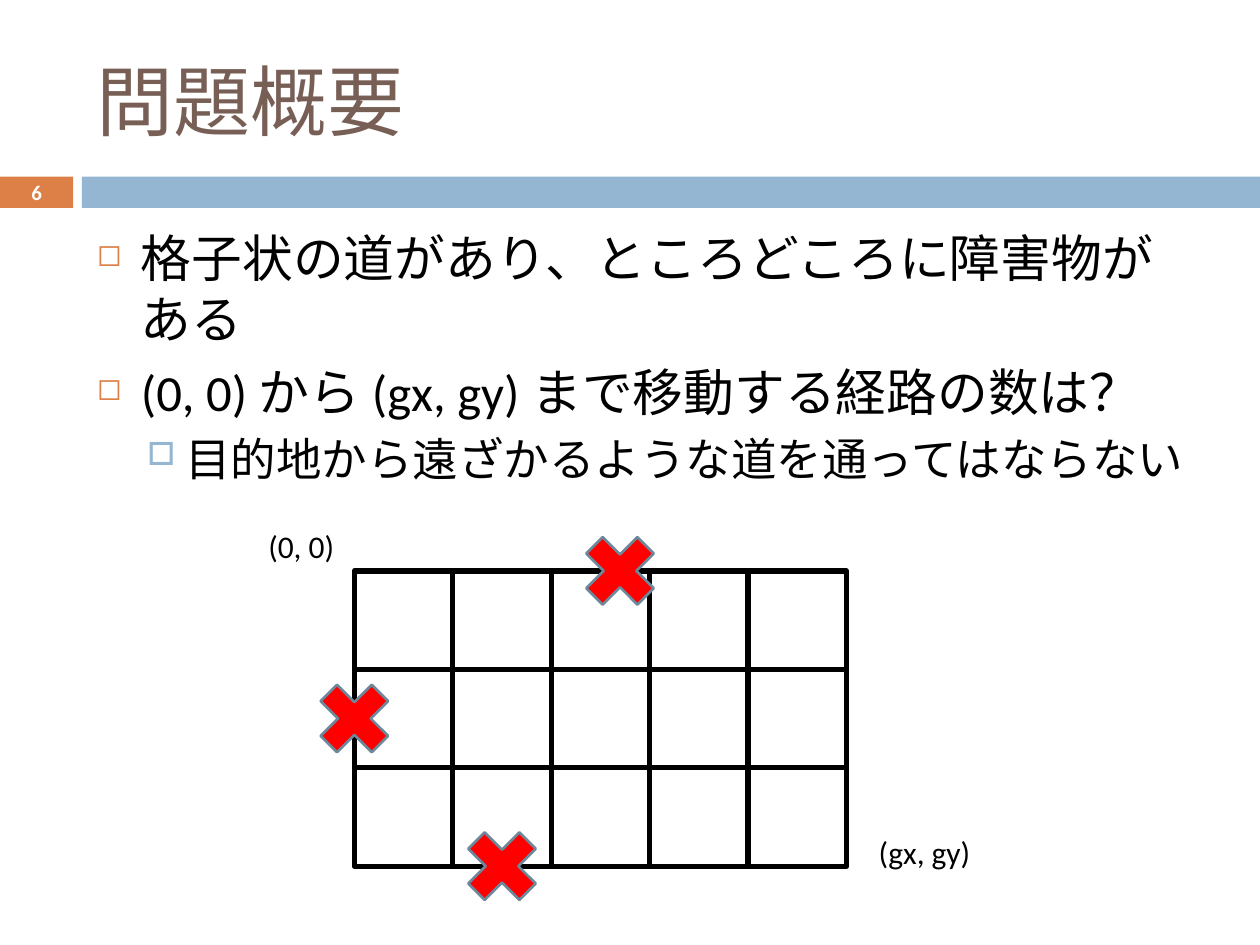
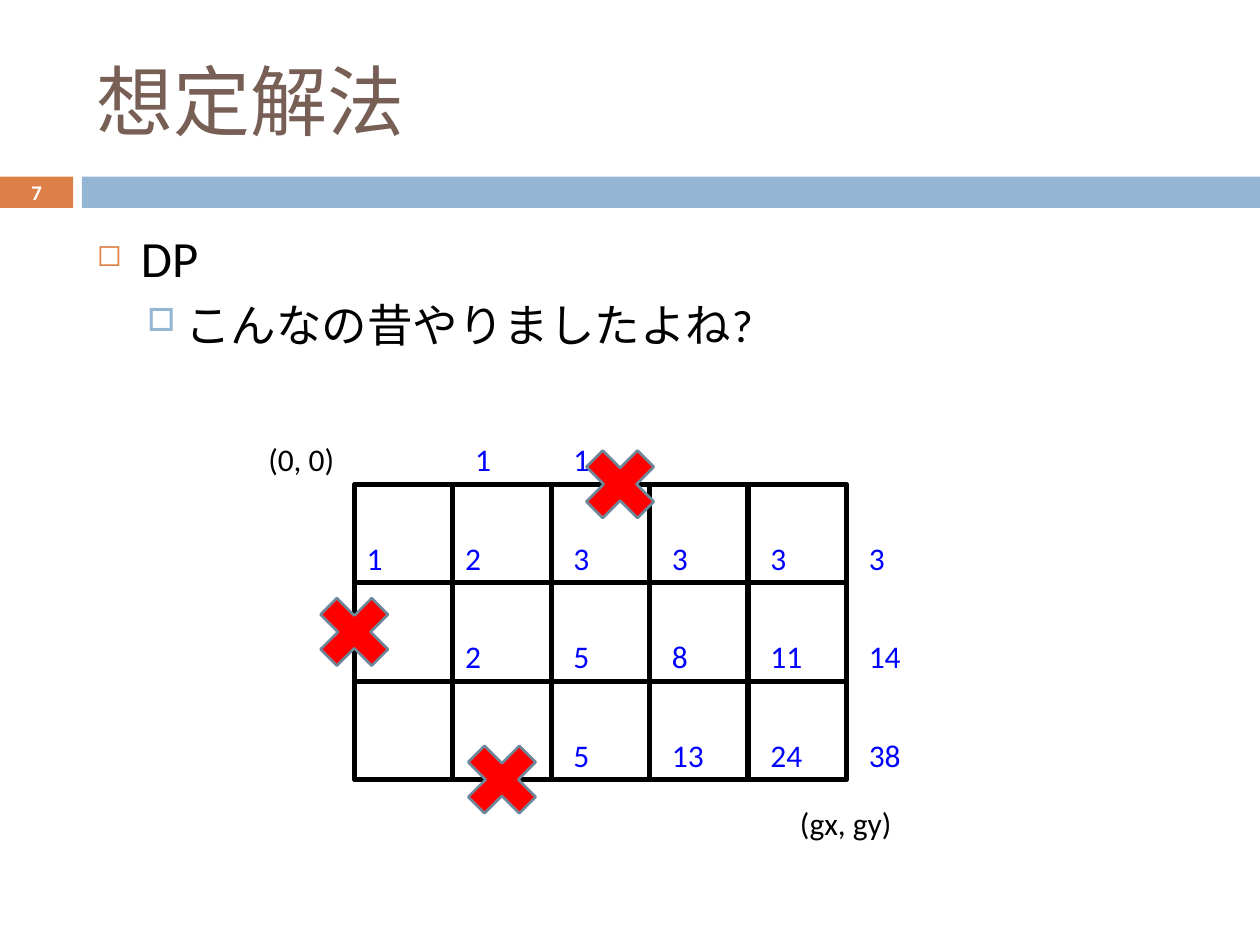
from dataclasses import dataclass

from lxml.etree import SubElement
from pptx import Presentation
from pptx.dml.color import RGBColor
from pptx.enum.shapes import MSO_CONNECTOR, MSO_SHAPE
from pptx.enum.text import MSO_ANCHOR, PP_ALIGN
from pptx.oxml.ns import qn
from pptx.slide import Slide
from pptx.text.text import TextFrame
from pptx.util import Inches, Pt

COLORS = {
    "title": "775F55", "accent": "DD8047", "band": "94B6D2", "ink": "000000",
    "paper": "FFFFFF", "obstacle": "FF0000", "obstacle_edge": "6D879B", "count": "0000FF",
}
FONT = "Calibri"
WIDTH, HEIGHT = Inches(10), Inches(7.5)
CELL = WIDTH / 12.8
COLUMNS, ROWS = 5, 3
ROAD_LEFT = 3.6
LABEL_HEIGHT = 0.51
TEXT_LEFT, TEXT_WIDTH = 0.067, 0.892
BAND_TOP, BAND_HEIGHT = 0.187, 0.033
NUMBER_WIDTH, BAND_LEFT = 0.058, 0.065


@dataclass(frozen=True)
class Box:
    left: float
    top: float
    width: float
    height: float

    def scaled(self, across: float, down: float) -> tuple[int, int, int, int]:
        return (round(self.left * across), round(self.top * down),
                round(self.width * across), round(self.height * down))

    def on_slide(self) -> tuple[int, int, int, int]:
        return self.scaled(WIDTH, HEIGHT)

    def in_cells(self) -> tuple[int, int, int, int]:
        return self.scaled(CELL, CELL)


@dataclass(frozen=True)
class Style:
    size: float
    color: str = "ink"
    bold: bool = False


@dataclass(frozen=True)
class Bullet:
    mark: str
    color: str
    percent: int
    indent: float
    hanging: float
    before: float
    style: Style


@dataclass(frozen=True)
class Label:
    text: str
    column: float
    row: float
    width: float = 0.8
    color: str = "count"


@dataclass(frozen=True)
class Page:
    number: int
    title: str
    points: tuple[tuple[int, str], ...]
    body_height: float
    road_top: float
    labels: tuple[Label, ...]


TITLE = Style(44, "title")
NUMBER = Style(11.9, "paper", True)
BULLETS = (
    Bullet("◻", "accent", 60, 0.35, 0.35, 7, Style(29)),
    Bullet("□", "band", 70, 0.7, 0.3, 5.5, Style(26)),
)
OBSTACLES = ((0, 1.5), (2.7, 0), (1.5, 3))
START = Label("(0, 0)", -1, 0, 1.4, "ink")
PATH_COUNTS = (
    (None, 1, 1, None, None, None),
    (1, 2, 3, 3, 3, 3),
    (None, 2, 5, 8, 11, 14),
    (None, None, 5, 13, 24, 38),
)


def count_labels() -> tuple[Label, ...]:
    return tuple(
        Label(str(count), column + (0.1 if column > 1 or row == 0 else 0), row)
        for row, counts in enumerate(PATH_COUNTS)
        for column, count in enumerate(counts)
        if count is not None
    )


PAGES = (
    Page(6, "問題概要", (
        (0, "格子状の道があり、ところどころに障害物がある"),
        (0, "(0, 0) から (gx, gy) まで移動する経路の数は？"),
        (1, "目的地から遠ざかるような道を通ってはならない"),
    ), 0.297, 5.8, (START, Label("(gx, gy)", 5.2, 3.11, 1.7, "ink"))),
    Page(7, "想定解法", (
        (0, "DP"),
        (1, "こんなの昔やりましたよね?"),
    ), 0.656, 4.92, (START, Label("(gx, gy)", 4.4, 3.7, 1.7, "ink"), *count_labels())),
)


def rgb(name: str) -> RGBColor:
    return RGBColor.from_string(COLORS[name])


def add_run(paragraph, text: str, style: Style) -> None:
    run = paragraph.add_run()
    run.text = text
    run.font.name = FONT
    run.font.size = Pt(style.size)
    run.font.bold = style.bold
    run.font.color.rgb = rgb(style.color)


def add_text_area(slide: Slide, place: tuple[int, int, int, int],
                  anchor: MSO_ANCHOR = MSO_ANCHOR.TOP) -> TextFrame:
    frame = slide.shapes.add_textbox(*place).text_frame
    frame.word_wrap = True
    frame.vertical_anchor = anchor
    return frame


def add_filled(slide: Slide, preset: MSO_SHAPE, place: tuple[int, int, int, int],
               fill: str, edge: str | None = None, weight: float = 0) -> None:
    shape = slide.shapes.add_shape(preset, *place)
    shape.shadow.inherit = False
    shape.fill.solid()
    shape.fill.fore_color.rgb = rgb(fill)
    if edge is None:
        shape.line.fill.background()
    else:
        shape.line.color.rgb = rgb(edge)
        shape.line.width = Pt(weight)


def add_frame(slide: Slide, page: Page) -> None:
    number_box = Box(0, BAND_TOP, NUMBER_WIDTH, BAND_HEIGHT)
    band = Box(BAND_LEFT, BAND_TOP, 1 - BAND_LEFT, BAND_HEIGHT)
    add_filled(slide, MSO_SHAPE.RECTANGLE, number_box.on_slide(), "accent")
    add_filled(slide, MSO_SHAPE.RECTANGLE, band.on_slide(), "band")
    heading = add_text_area(slide, Box(TEXT_LEFT, 0.033, TEXT_WIDTH, 0.144).on_slide(),
                            MSO_ANCHOR.MIDDLE)
    add_run(heading.paragraphs[0], page.title, TITLE)
    number = add_text_area(slide, number_box.on_slide(), MSO_ANCHOR.MIDDLE)
    number.margin_top = number.margin_bottom = 0
    number.paragraphs[0].alignment = PP_ALIGN.CENTER
    add_run(number.paragraphs[0], str(page.number), NUMBER)


def add_points(slide: Slide, page: Page) -> None:
    body = add_text_area(slide, Box(TEXT_LEFT, 0.233, TEXT_WIDTH, page.body_height).on_slide())
    for index, (level, text) in enumerate(page.points):
        bullet = BULLETS[level]
        paragraph = body.add_paragraph() if index else body.paragraphs[0]
        paragraph.level = level
        paragraph.space_before = Pt(bullet.before)
        properties = paragraph._p.get_or_add_pPr()
        properties.set("marL", str(Inches(bullet.indent)))
        properties.set("indent", str(-Inches(bullet.hanging)))
        tint = SubElement(properties, qn("a:buClr"))
        SubElement(tint, qn("a:srgbClr"), val=COLORS[bullet.color])
        SubElement(properties, qn("a:buSzPct"), val=str(bullet.percent * 1000))
        SubElement(properties, qn("a:buChar"), char=bullet.mark)
        add_run(paragraph, text, bullet.style)


def add_road(slide: Slide, start: tuple[float, float], end: tuple[float, float]) -> None:
    ends = (round(value * CELL) for value in (*start, *end))
    road = slide.shapes.add_connector(MSO_CONNECTOR.STRAIGHT, *ends)
    road.line.color.rgb = rgb("ink")
    road.line.width = Pt(3)
    SubElement(road._element.spPr, qn("a:effectLst"))


def add_map(slide: Slide, page: Page) -> None:
    left, top = ROAD_LEFT, page.road_top
    right, bottom = left + COLUMNS, top + ROWS
    add_filled(slide, MSO_SHAPE.RECTANGLE, Box(left, top, COLUMNS, ROWS).in_cells(),
               "paper", "ink", 3)
    for row in range(1, ROWS):
        add_road(slide, (left, top + row), (right, top + row))
    for column in range(1, COLUMNS):
        add_road(slide, (left + column, top), (left + column, bottom))
    for column, row in OBSTACLES:
        place = Box(left + column - 0.5, top + row - 0.5, 1, 1).in_cells()
        add_filled(slide, MSO_SHAPE.MATH_MULTIPLY, place, "obstacle", "obstacle_edge", 1.5)
    for label in page.labels:
        place = Box(left + label.column, top + label.row - LABEL_HEIGHT,
                    label.width, LABEL_HEIGHT).in_cells()
        add_run(add_text_area(slide, place).paragraphs[0], label.text, Style(18, label.color))


def main() -> None:
    deck = Presentation()
    deck.slide_width, deck.slide_height = WIDTH, HEIGHT
    for page in PAGES:
        slide = deck.slides.add_slide(deck.slide_layouts[6])
        add_frame(slide, page)
        add_points(slide, page)
        add_map(slide, page)
    deck.save("out.pptx")


if __name__ == "__main__":
    main()
